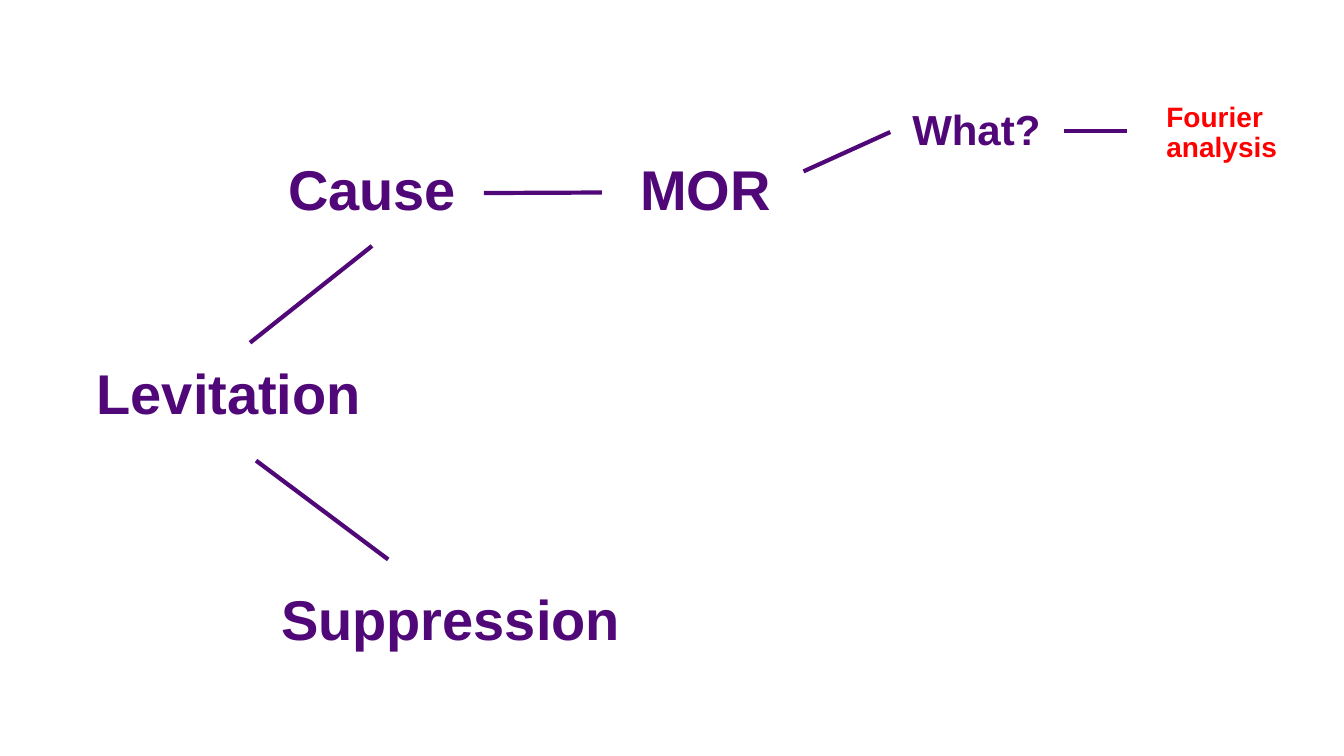
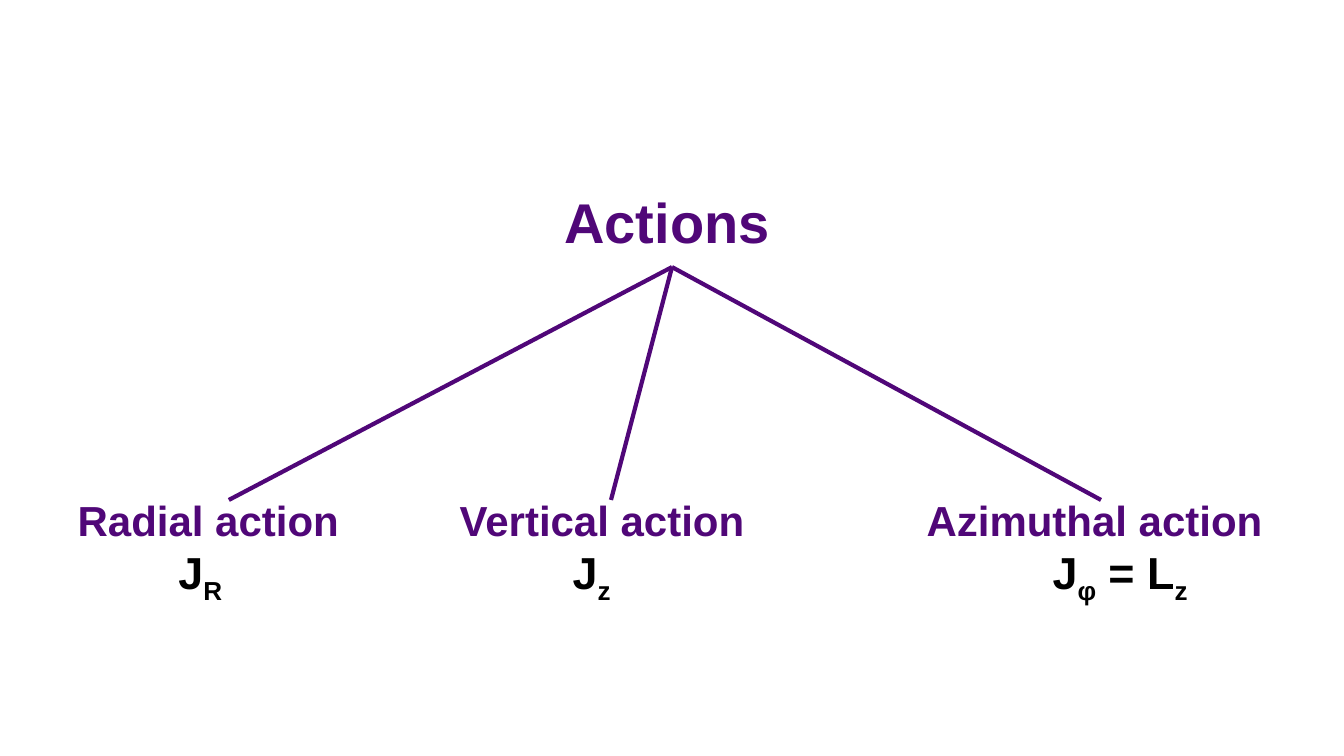
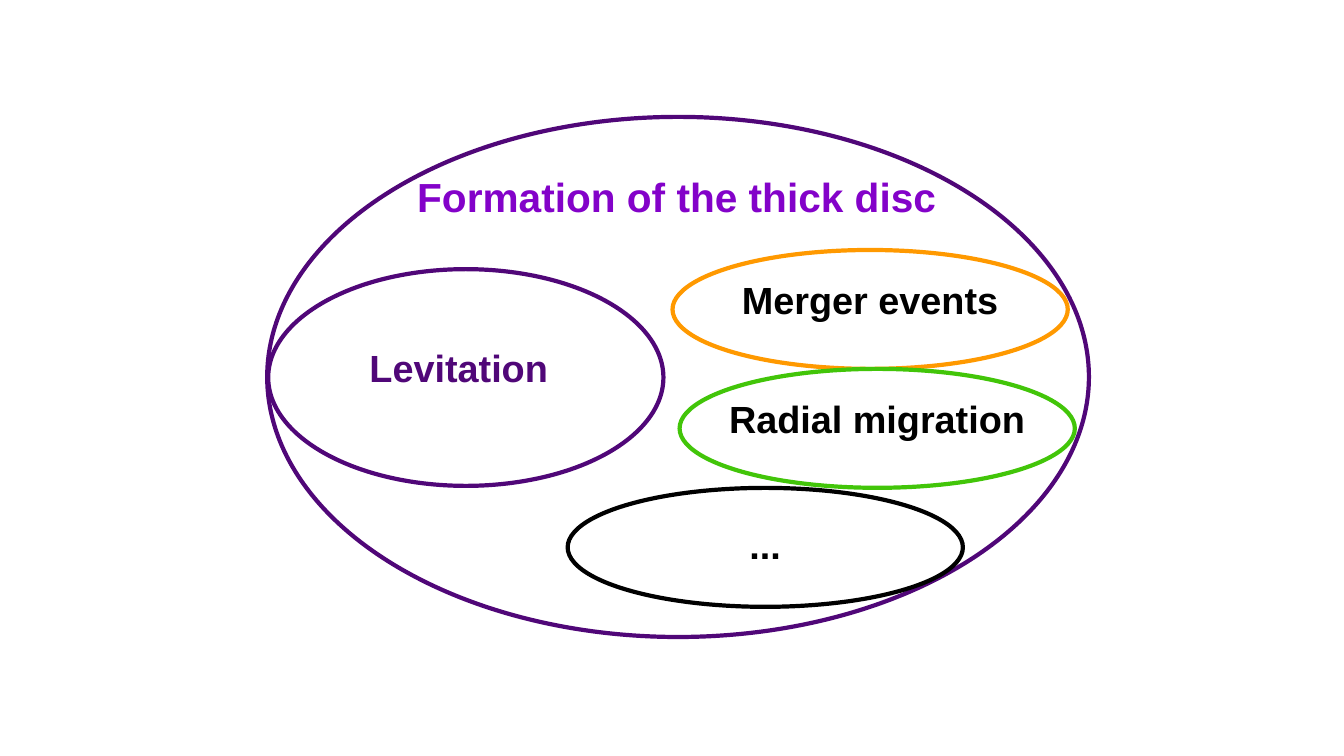
import pptx
import pptx.util
import pptx.dml.color
import pptx.enum.shapes
import pptx.enum.text
import pptx.oxml

Inches = pptx.util.Inches
Pt = pptx.util.Pt
ALIGN = pptx.enum.text.PP_ALIGN

COLORS = {
    "purple": "500778",
    "violet": "8302C9",
    "red": "FF0000",
    "orange": "FF9900",
    "green": "42C509",
    "black": "000000",
}
TOP, LEFT, BOTTOM, RIGHT = range(4)


class Deck:
    """Shared style and the current slide."""
    font = "Arial"
    line_width = 3
    spacing = 0.9

    def __init__(self):
        self.prs = pptx.Presentation()
        self.prs.slide_width = Inches(13.33)
        self.prs.slide_height = Inches(7.5)

    def slide(self):
        self.s = self.prs.slides.add_slide(self.prs.slide_layouts[6])

    def rgb(self, color):
        return pptx.dml.color.RGBColor.from_string(COLORS[color])

    def style_line(self, sp, color):
        sp.line.color.rgb = self.rgb(color)
        sp.line.width = Pt(self.line_width)

    def box(self, x, y, w, h, inset=0.0):
        sp = self.s.shapes.add_textbox(Inches(x), Inches(y), Inches(w), Inches(h))
        tf = sp.text_frame
        tf.word_wrap = True
        tf.margin_left = tf.margin_right = Inches(inset)
        tf.margin_top = tf.margin_bottom = Inches(inset)
        return sp

    def paragraph(self, p, runs, size, color, align=ALIGN.JUSTIFY, indent=0.0):
        """Write runs of (text, is_subscript) into p."""
        p.alignment = align
        p.line_spacing = self.spacing
        if indent:
            p._p.get_or_add_pPr().set("marL", str(Inches(indent)))
        for text, is_subscript in runs:
            r = p.add_run()
            r.text = text
            r.font.name = self.font
            r.font.size = Pt(size)
            r.font.bold = True
            r.font.color.rgb = self.rgb(color)
            if is_subscript:
                r._r.get_or_add_rPr().set("baseline", "-25000")

    def label(self, text, x, y, w, h=0.81, size=40, color="purple",
              align=ALIGN.JUSTIFY, inset=0.1):
        sp = self.box(x, y, w, h, inset)
        self.paragraph(sp.text_frame.paragraphs[0], [(text, False)], size, color, align)
        return sp

    def action(self, name, symbol, x, w, indent):
        """An action name with its symbol on the line below."""
        sp = self.box(x, 4.96, w, 0.86)
        tf = sp.text_frame
        self.paragraph(tf.paragraphs[0], [(name, False)], 30, "purple")
        self.paragraph(tf.add_paragraph(), symbol, 32, "black", ALIGN.LEFT, indent)
        return sp

    def ellipse(self, x, y, w, h, color):
        sp = self.s.shapes.add_shape(pptx.enum.shapes.MSO_SHAPE.OVAL,
                                     Inches(x), Inches(y), Inches(w), Inches(h))
        sp.shadow.inherit = False
        sp.fill.background()
        self.style_line(sp, color)

    def line(self, start=(0, 0), end=(0, 0), begin_at=None, end_at=None):
        """A line between points, or joined to (shape, side) pairs."""
        cx = self.s.shapes.add_connector(pptx.enum.shapes.MSO_CONNECTOR.STRAIGHT,
                                         *[Inches(v) for v in (*start, *end)])
        if begin_at:
            cx.begin_connect(*begin_at)
        if end_at:
            cx.end_connect(*end_at)
        self.style_line(cx, "purple")
        cx._element.spPr.append(pptx.oxml.parse_xml(
            '<a:effectLst xmlns:a="http://schemas.openxmlformats.org/drawingml/2006/main"/>'))


def mind_map(deck):
    deck.slide()
    # Topics
    deck.label("Levitation", 0.86, 3.53, 3.02)
    deck.label("MOR", 6.25, 1.51, 1.72)
    cause = deck.label("Cause", 2.76, 1.51, 2.04)
    deck.label("Suppression", 2.69, 5.77, 3.7)
    deck.label("What?", 8.95, 0.98, 1.6, size=30)
    deck.label("Fourier analysis", 11.47, 0.92, 1.68, size=20, color="red")
    # Branches
    deck.line(end=(5.97, 1.91), begin_at=(cause, RIGHT))
    for start, end in [
        ((2.48, 3.4), (3.69, 2.44)),
        ((2.54, 4.57), (3.85, 5.55)),
        ((7.97, 1.7), (8.83, 1.31)),
        ((10.55, 1.3), (11.18, 1.3)),
    ]:
        deck.line(start, end)


def actions_tree(deck):
    deck.slide()
    root = deck.label("Actions", 5.5, 1.84, 2.33)
    # Leaves, each joined to the root
    for name, symbol, x, w, indent in [
        ("Radial action", [("J", False), ("R", True)], 0.77, 3, 1),
        ("Vertical action", [("J", False), ("z", True)], 4.56, 3, 1.12),
        ("Azimuthal action",
         [("J", False), ("φ", True), (" = ", False), ("L", False), ("z", True)],
         9.19, 3.46, 1.25),
    ]:
        leaf = deck.action(name, symbol, x, w, indent)
        deck.line(begin_at=(leaf, TOP), end_at=(root, BOTTOM))


def thick_disc(deck):
    deck.slide()
    style = {"align": ALIGN.CENTER, "inset": 0}
    # Whole and main part
    deck.ellipse(2.65, 1.16, 8.15, 5.16, "purple")
    deck.ellipse(2.66, 2.67, 3.92, 2.15, "purple")
    deck.label("Formation of the thick disc", 3.11, 1.76, 7.21, 0.72, 29, "violet", **style)
    deck.label("Levitation", 3.05, 3.47, 3, 0.72, 27, **style)
    # Stack of other scenarios
    height = 1.18
    for i, (text, x, color, drop) in enumerate([
        ("Merger events", 6.67, "orange", 0.32),
        ("Radial migration", 6.74, "green", 0.32),
        ("...", 5.63, "black", 0.39),
    ]):
        y = 2.48 + i * height
        deck.ellipse(x, y, 3.92, height, color)
        deck.label(text, x + 0.46, y + drop, 3, 0.54, 27, "black", **style)


def main():
    deck = Deck()
    mind_map(deck)
    actions_tree(deck)
    thick_disc(deck)
    deck.prs.save("out.pptx")


if __name__ == "__main__":
    main()
